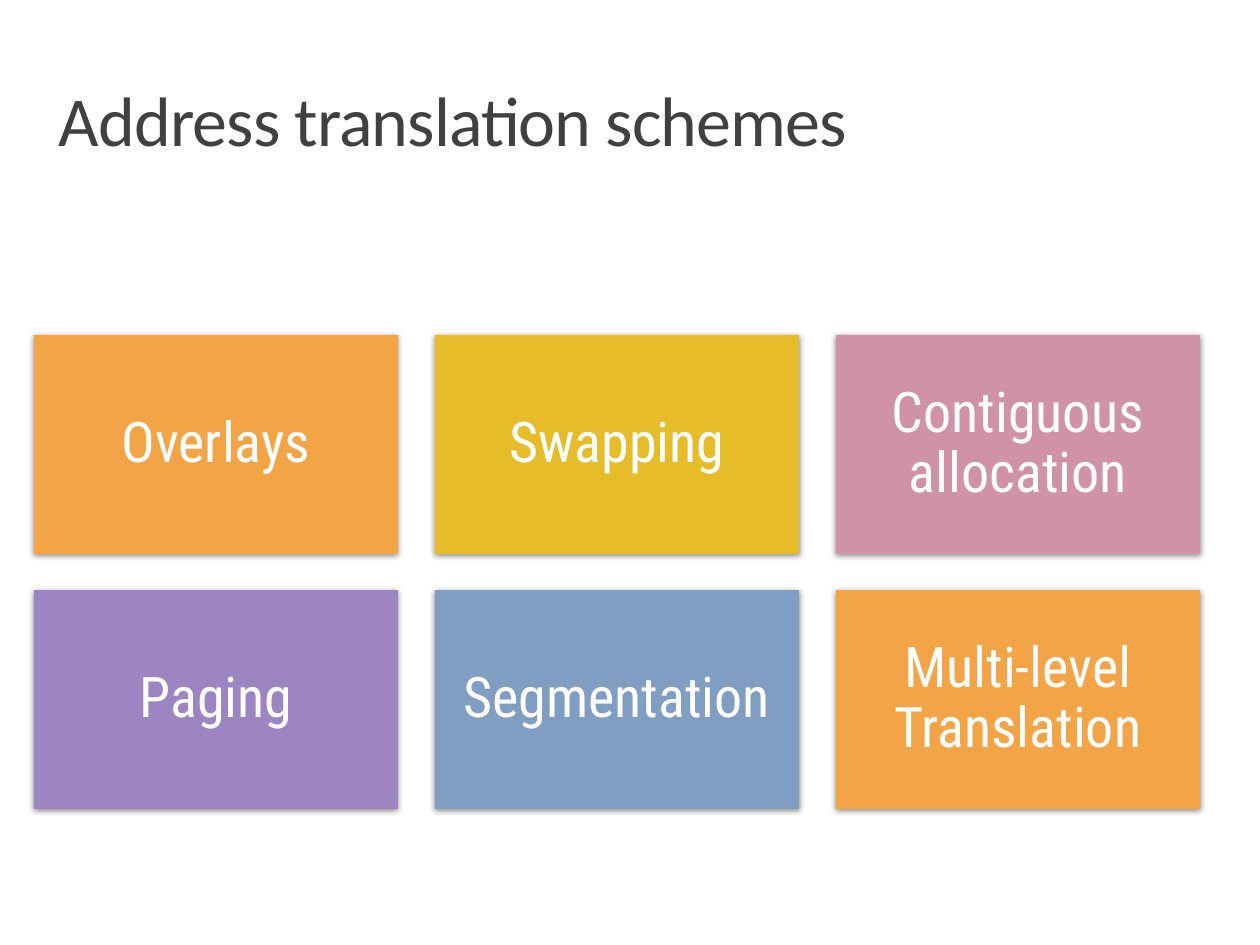
from dataclasses import dataclass

from lxml.etree import SubElement
from pptx import Presentation
from pptx.dml.color import RGBColor
from pptx.enum.shapes import MSO_SHAPE
from pptx.enum.text import MSO_ANCHOR, PP_ALIGN
from pptx.oxml.ns import qn
from pptx.util import Inches, Pt

TITLE = "Address translation schemes"
SCHEMES = [
    ("Overlays", "orange"),
    ("Swapping", "yellow"),
    ("Contiguous allocation", "pink"),
    ("Paging", "purple"),
    ("Segmentation", "blue"),
    ("Multi-level Translation", "orange"),
]


@dataclass(frozen=True)
class Theme:
    orange: str = "F3A447"
    yellow: str = "E7BC29"
    pink: str = "D092A7"
    purple: str = "9C85C0"
    blue: str = "809EC2"
    title_color: str = "404040"
    card_text: str = "FFFFFF"
    shadow: str = "000000"
    title_font: str = "Calibri"
    card_font: str = "Roboto Condensed"
    title_size: int = 40
    card_size: int = 32


THEME = Theme()
PX = Inches(1) / 126

TITLE_BOX = (59, 88, 1142, 112)
COLUMNS = 3
GRID_LEFT, GRID_TOP = 34, 335
CARD_W, CARD_H = 364, 219
GAP_X, GAP_Y = 37, 36
CARD_INSET = 16


def px(*lengths):
    return [round(n * PX) for n in lengths]


def write(shape, text, *, font, size, color, align=PP_ALIGN.LEFT,
          anchor=MSO_ANCHOR.TOP, insets=(0, 0, 0, 0), line=1.0, tracking=None):
    """Fill a shape with one paragraph; insets are left, top, right, bottom."""
    tf = shape.text_frame
    tf.word_wrap = True
    tf.vertical_anchor = anchor
    tf.margin_left, tf.margin_top, tf.margin_right, tf.margin_bottom = px(*insets)
    p = tf.paragraphs[0]
    p.alignment = align
    p.line_spacing = line
    r = p.add_run()
    r.text = text
    r.font.name = font
    r.font.size = Pt(size)
    r.font.color.rgb = RGBColor.from_string(color)
    if tracking is not None:
        r.font._element.set("spc", str(round(tracking * 100)))


def add_shadow(shape, color, blur=3.5, distance=1.1, angle=90, opacity=45):
    shape.shadow.inherit = False
    effects = shape._element.spPr.find(qn("a:effectLst"))
    outer = SubElement(effects, qn("a:outerShdw"), blurRad=str(Pt(blur)),
                       dist=str(Pt(distance)), dir=str(angle * 60000),
                       rotWithShape="0")
    clr = SubElement(outer, qn("a:srgbClr"), val=color)
    SubElement(clr, qn("a:alpha"), val=str(opacity * 1000))


def add_card(slide, index, label, fill):
    row, col = divmod(index, COLUMNS)
    left = GRID_LEFT + col * (CARD_W + GAP_X)
    top = GRID_TOP + row * (CARD_H + GAP_Y)
    sp = slide.shapes.add_shape(MSO_SHAPE.RECTANGLE, *px(left, top, CARD_W, CARD_H))
    sp.fill.solid()
    sp.fill.fore_color.rgb = RGBColor.from_string(fill)
    sp.line.fill.background()
    add_shadow(sp, THEME.shadow)
    write(sp, label, font=THEME.card_font, size=THEME.card_size,
          color=THEME.card_text, align=PP_ALIGN.CENTER,
          anchor=MSO_ANCHOR.MIDDLE, insets=(CARD_INSET,) * 4, line=0.9)


def main():
    prs = Presentation()
    prs.slide_width, prs.slide_height = px(1260, 945)
    s = prs.slides.add_slide(prs.slide_layouts[6])
    for i, (label, color) in enumerate(SCHEMES):
        add_card(s, i, label, getattr(THEME, color))
    write(s.shapes.add_textbox(*px(*TITLE_BOX)), TITLE, font=THEME.title_font,
          size=THEME.title_size, color=THEME.title_color,
          insets=(0, 5, 0, 0), line=0.8, tracking=-0.5)
    prs.save("out.pptx")


if __name__ == "__main__":
    main()
